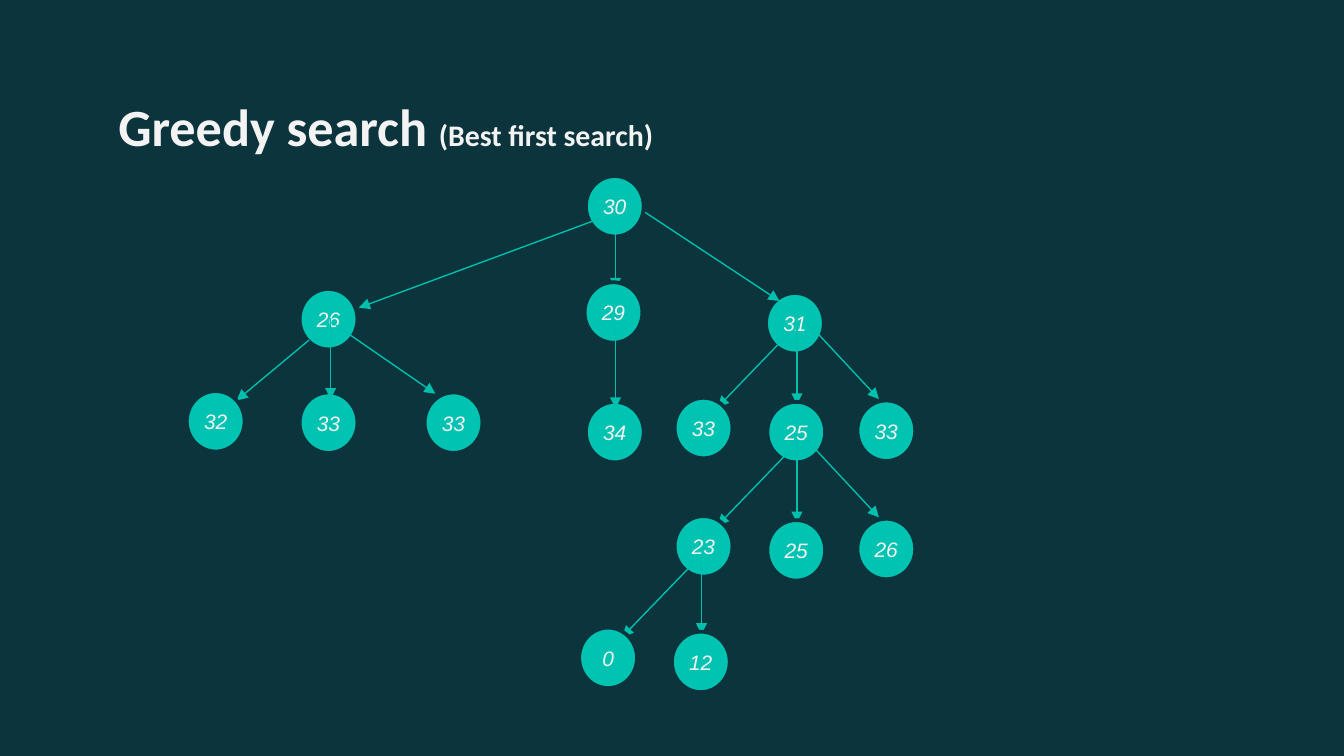
from lxml import etree
from pptx import Presentation
from pptx.dml.color import RGBColor
from pptx.enum.shapes import MSO_CONNECTOR, MSO_SHAPE
from pptx.enum.text import MSO_ANCHOR, MSO_AUTO_SIZE, PP_ALIGN
from pptx.oxml.ns import qn
from pptx.util import Inches, Pt

CIRCLE = MSO_SHAPE.FLOWCHART_CONNECTOR
STRAIGHT = MSO_CONNECTOR.STRAIGHT
TOP, MIDDLE = MSO_ANCHOR.TOP, MSO_ANCHOR.MIDDLE
LEFT, CENTER = PP_ALIGN.LEFT, PP_ALIGN.CENTER
NO_AUTOFIT = MSO_AUTO_SIZE.NONE

SLIDE_WIDTH = 10
SLIDE_HEIGHT = SLIDE_WIDTH * 9 / 16
BACKGROUND, NODE_FILL, ARROW, TEXT = "0C343D", "00C3B1", "00BFAD", "F3F3F3"
NODE_WIDTH, NODE_HEIGHT = 0.43, 0.45

TITLE_FORMAT = {"name": "Calibri", "bold": True}
NODE_FORMAT = {"name": "Arial", "size": Pt(11.2), "italic": True}

UPPER_LAYERS = [
    ([], [("30", 4.36, 1.31)]),
    ([(4.48, 1.62, 2.67, 2.29), (4.58, 1.74, 4.58, 2.15)],
     [("26", 2.23, 2.15), ("29", 4.35, 2.1)]),
    ([(2.3, 2.53, 1.76, 2.98)],
     [("32", 1.39, 2.91), ("31", 5.7, 2.18), ("33", 2.23, 2.92),
      ("34", 4.36, 2.99), ("33", 3.16, 2.92)]),
    ([(2.46, 2.37, 2.46, 2.97), (2.5, 2.42, 3.24, 2.93),
      (4.58, 2.44, 4.58, 3.04), (4.8, 1.58, 5.8, 2.24)], []),
]

FAN_ARROWS = [(0.85, 0.1, 0.32, 0.65), (0.91, 0.03, 0.91, 0.63), (0.97, 0, 1.52, 0.59)]
FAN_NODES = [(0, 0.58), (0.69, 0.61), (1.36, 0.6)]
FANS = [
    (5.02, 2.38, ["33", "25", "33"]),
    (5.02, 3.26, ["23", "25", "26"]),
    (4.31, 4.09, ["0", "12"]),
]


def color(value):
    return RGBColor.from_string(value)


def format_font(font, values):
    for name, value in values.items():
        setattr(font, name, value)
    font.color.rgb = color(TEXT)


def add_title(slide):
    title = slide.shapes.title
    title.left, title.top = Inches(0.78), Inches(0.6)
    title.width, title.height = Inches(8.44), Inches(0.63)
    frame = title.text_frame
    frame.auto_size = NO_AUTOFIT
    frame.vertical_anchor = TOP
    for side in ("left", "top", "right", "bottom"):
        setattr(frame, f"margin_{side}", Inches(0.1))
    para = frame.paragraphs[0]
    para.alignment = LEFT
    for text, size in (("Greedy search ", 28), ("(Best first search)", 16)):
        span = para.add_run()
        span.text = text
        format_font(span.font, {**TITLE_FORMAT, "size": Pt(size)})


def add_node(slide, label, left, top):
    node = slide.shapes.add_shape(
        CIRCLE, Inches(left), Inches(top), Inches(NODE_WIDTH), Inches(NODE_HEIGHT))
    node.shadow.inherit = False
    node.fill.solid()
    node.fill.fore_color.rgb = color(NODE_FILL)
    node.line.color.rgb = color(BACKGROUND)
    node.line.width = Pt(2)
    frame = node.text_frame
    frame.word_wrap = False
    frame.vertical_anchor = MIDDLE
    para = frame.paragraphs[0]
    para.alignment = CENTER
    span = para.add_run()
    span.text = label
    format_font(span.font, NODE_FORMAT)


def add_arrow(slide, *ends):
    arrow = slide.shapes.add_connector(STRAIGHT, *(Inches(end) for end in ends))
    arrow.line.color.rgb = color(ARROW)
    arrow.line.width = Pt(0.75)
    etree.SubElement(arrow.line._get_or_add_ln(), qn("a:tailEnd"), type="triangle")
    etree.SubElement(arrow._element.spPr, qn("a:effectLst"))


def add_layer(slide, arrows, nodes):
    for ends in arrows:
        add_arrow(slide, *ends)
    for node in nodes:
        add_node(slide, *node)


def add_fan(slide, left, top, labels):
    arrows = [(left + x1, top + y1, left + x2, top + y2)
              for x1, y1, x2, y2 in FAN_ARROWS[:len(labels)]]
    nodes = [(label, left + x, top + y) for label, (x, y) in zip(labels, FAN_NODES)]
    add_layer(slide, arrows, nodes)


def main():
    deck = Presentation()
    deck.slide_width, deck.slide_height = Inches(SLIDE_WIDTH), Inches(SLIDE_HEIGHT)
    slide = deck.slides.add_slide(deck.slide_layouts.get_by_name("Title Only"))
    slide.background.fill.solid()
    slide.background.fill.fore_color.rgb = color(BACKGROUND)
    add_title(slide)
    for arrows, nodes in UPPER_LAYERS:
        add_layer(slide, arrows, nodes)
    for fan in FANS:
        add_fan(slide, *fan)
    deck.save("out.pptx")


if __name__ == "__main__":
    main()
